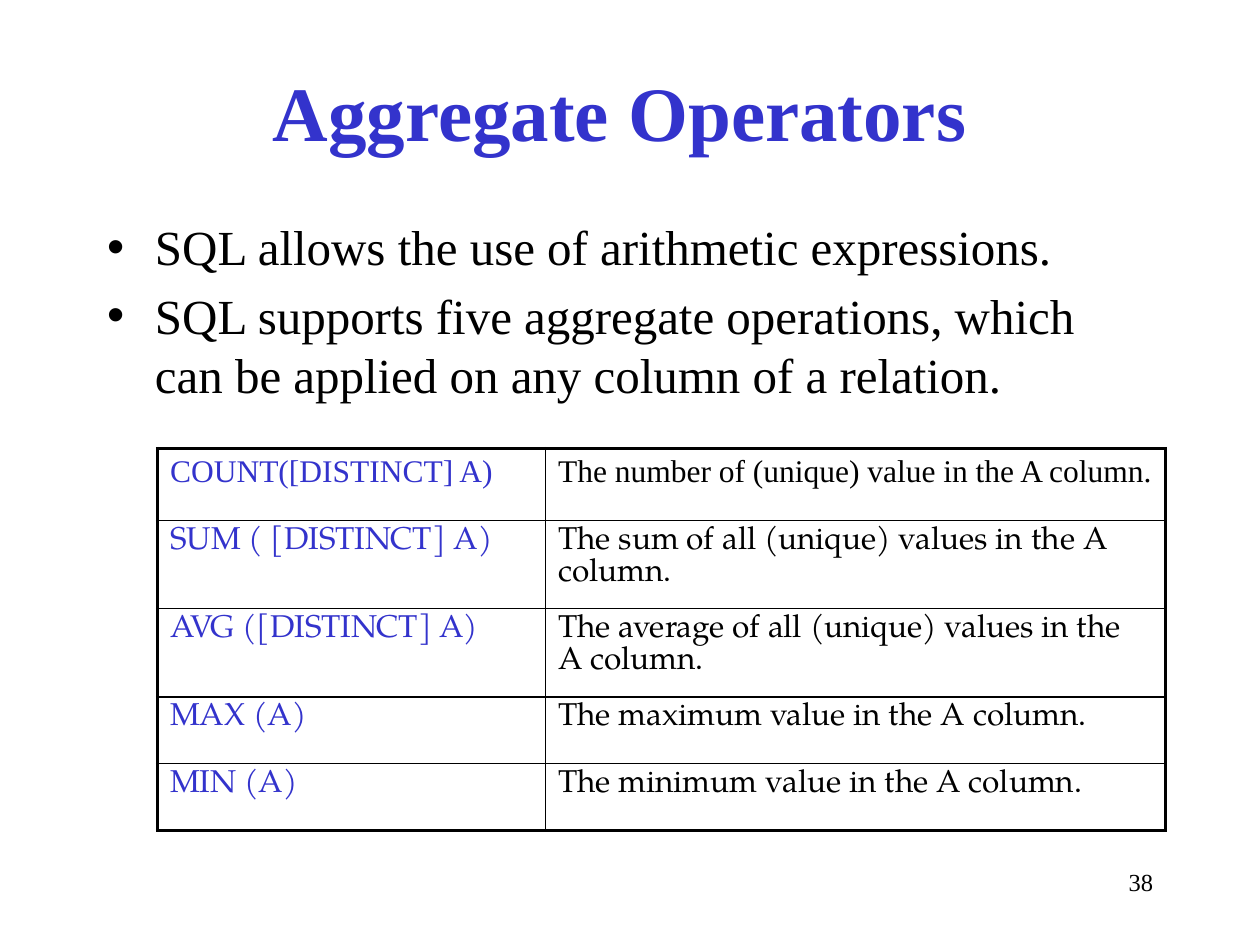
from lxml import etree
from pptx import Presentation
from pptx.dml.color import RGBColor
from pptx.enum import text
from pptx.oxml import ns
from pptx.util import Inches, Pt

SERIF = "Times New Roman"
BOOK = "TeX Gyre Pagella"
BLUE = "3333CC"
BLACK = "000000"
THICK, THIN = 2.25, 1

BULLETS = [
    "SQL allows the use of arithmetic expressions.",
    "SQL supports five aggregate operations, which can be applied on any column of a relation.",
]
OPERATORS = [
    ("COUNT([DISTINCT] A)", "The number of (unique) value in the A column."),
    ("SUM ( [DISTINCT] A)", "The sum of all (unique) values in the A column."),
    ("AVG ([DISTINCT] A)", "The average of all (unique) values in the A column."),
    ("MAX (A)", "The maximum value in the A column."),
    ("MIN (A)", "The minimum value in the A column."),
]
COLUMN_WIDTHS = [3.08, 4.92]
ROW_HEIGHTS = [0.57, 0.7, 0.7, 0.53, 0.53]


def rgb(color):
    return RGBColor.from_string(color)


def format_runs(paragraph, size, color=BLACK, name=SERIF, bold=False):
    for run in paragraph.runs:
        run.font.size = Pt(size)
        run.font.name = name
        run.font.bold = bold
        run.font.color.rgb = rgb(color)


def place(shape, left, top, width, height):
    shape.left, shape.top = Inches(left), Inches(top)
    shape.width, shape.height = Inches(width), Inches(height)


def add_title(slide, wording):
    title = slide.shapes.title
    place(title, 0.67, 0.25, 8.5, 1.25)
    frame = title.text_frame
    frame.text = wording
    frame.auto_size = text.MSO_AUTO_SIZE.NONE
    frame.vertical_anchor = text.MSO_ANCHOR.MIDDLE
    frame.paragraphs[0].alignment = text.PP_ALIGN.CENTER
    format_runs(frame.paragraphs[0], 44, BLUE, bold=True)


def set_bullet(paragraph, indent):
    properties = paragraph._p.get_or_add_pPr()
    properties.set("marL", str(Inches(indent)))
    properties.set("indent", str(-Inches(indent)))
    etree.SubElement(properties, ns.qn("a:buChar")).set("char", "•")


def add_bullets(slide, items):
    body = slide.placeholders[1]
    place(body, 0.75, 1.67, 8.5, 5)
    frame = body.text_frame
    frame.text = "\n".join(items)
    frame.auto_size = text.MSO_AUTO_SIZE.NONE
    for index, paragraph in enumerate(frame.paragraphs):
        set_bullet(paragraph, 0.38)
        paragraph.space_before = Pt(5.6 if index else 0)
        format_runs(paragraph, 28)


def set_borders(cell, widths):
    properties = cell._tc.get_or_add_tcPr()
    for index, (side, width) in enumerate(widths.items()):
        line = etree.Element(ns.qn(f"a:ln{side}"), w=str(Pt(width)))
        fill = etree.SubElement(line, ns.qn("a:solidFill"))
        etree.SubElement(fill, ns.qn("a:srgbClr")).set("val", BLACK)
        properties.insert(index, line)


def add_operator_table(slide):
    last_row, last_column = len(OPERATORS) - 1, len(COLUMN_WIDTHS) - 1
    frame = slide.shapes.add_table(
        len(OPERATORS), len(COLUMN_WIDTHS), Inches(1.25), Inches(3.56),
        Inches(sum(COLUMN_WIDTHS)), Inches(sum(ROW_HEIGHTS)))
    table = frame.table
    table.first_row = table.horz_banding = False
    for column, width in zip(table.columns, COLUMN_WIDTHS):
        column.width = Inches(width)
    for row, height in zip(table.rows, ROW_HEIGHTS):
        row.height = Inches(height)
    for row_index, wordings in enumerate(OPERATORS):
        for column_index, wording in enumerate(wordings):
            cell = table.cell(row_index, column_index)
            cell.text_frame.text = wording
            cell.fill.background()
            format_runs(cell.text_frame.paragraphs[0], 18,
                        BLACK if column_index else BLUE,
                        BOOK if row_index else SERIF)
            set_borders(cell, {
                "L": THIN if column_index else THICK,
                "R": THICK if column_index == last_column else THIN,
                "T": THIN if row_index else THICK,
                "B": THICK if row_index == last_row else THIN,
            })


def add_page_number(slide, number):
    box = slide.shapes.add_textbox(Inches(7.17), Inches(6.83), Inches(2.08), Inches(0.5))
    frame = box.text_frame
    frame.word_wrap = True
    frame.text = number
    frame.paragraphs[0].alignment = text.PP_ALIGN.RIGHT
    format_runs(frame.paragraphs[0], 14)


def main():
    presentation = Presentation()
    presentation.slide_width, presentation.slide_height = Inches(10), Inches(7.5)
    slide = presentation.slides.add_slide(presentation.slide_layouts[1])
    add_page_number(slide, "38")
    add_title(slide, "Aggregate Operators")
    add_bullets(slide, BULLETS)
    add_operator_table(slide)
    presentation.save("out.pptx")


if __name__ == "__main__":
    main()
